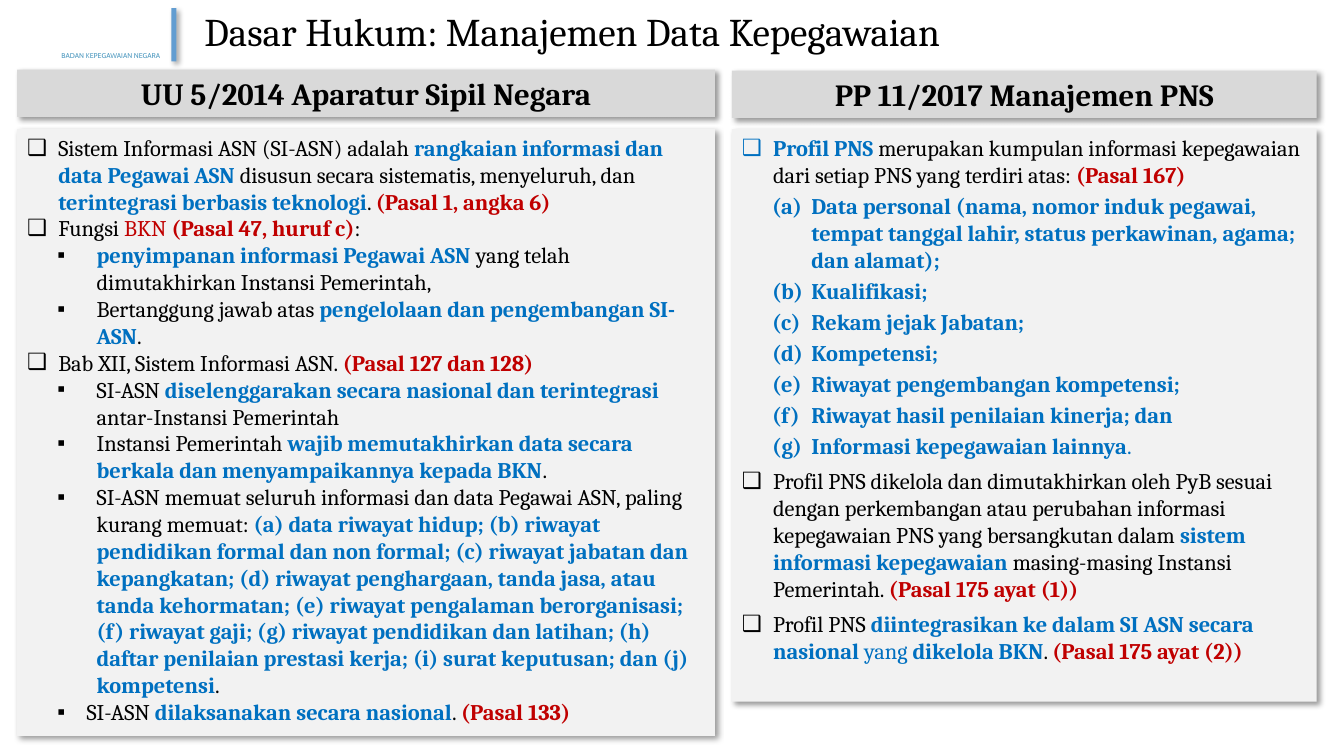
from dataclasses import dataclass
from lxml import etree
from pptx import Presentation
from pptx import util as u
from pptx.dml.color import RGBColor
from pptx.enum import shapes, text
from pptx.oxml.ns import qn

AGENCY = "BADAN KEPEGAWAIAN NEGARA"
TITLE = "Dasar Hukum: Manajemen Data Kepegawaian"

COLUMNS = [
    dict(heading="UU 5/2014 Aparatur Sipil Negara", width=6.92, top=0.69, height=6.02, gaps=(0, 0), items=[
        ("box", [("plain", "Sistem Informasi ASN (SI-ASN) adalah "),
                 ("key", "rangkaian informasi dan data Pegawai ASN "),
                 ("plain", "disusun secara sistematis, menyeluruh, dan "),
                 ("key", "terintegrasi berbasis teknologi"), ("plain", ". "),
                 ("cite", "(Pasal 1, angka 6)")]),
        ("box", [("plain", "Fungsi "), ("red", "BKN "), ("cite", "(Pasal 47, huruf c)"), ("plain", ":")]),
        ("square", [("key", "penyimpanan informasi Pegawai ASN "),
                    ("plain", "yang telah dimutakhirkan Instansi Pemerintah,")]),
        ("square", [("plain", "Bertanggung jawab atas "),
                    ("key", "pengelolaan dan pengembangan SI-ASN"), ("plain", ".")]),
        ("box", [("plain", "Bab XII, Sistem Informasi ASN. "), ("cite", "(Pasal 127 dan 128)")]),
        ("square", [("plain", "SI-ASN "), ("key", "diselenggarakan secara nasional dan terintegrasi "),
                    ("plain", "antar-Instansi Pemerintah")]),
        ("square", [("plain", "Instansi Pemerintah "),
                    ("key", "wajib memutakhirkan data secara berkala dan menyampaikannya kepada BKN"),
                    ("plain", ".")]),
        ("square", [("plain", "SI-ASN memuat seluruh informasi dan data Pegawai ASN, paling kurang memuat: "),
                    ("key", "(a) data riwayat hidup; (b) riwayat pendidikan formal dan non formal; "
                            "(c) riwayat jabatan dan kepangkatan; (d) riwayat penghargaan, tanda jasa, "
                            "atau tanda kehormatan; (e) riwayat pengalaman berorganisasi; (f) riwayat gaji; "
                            "(g) riwayat pendidikan dan latihan; (h) daftar penilaian prestasi kerja; "
                            "(i) surat keputusan; dan (j) kompetensi"),
                    ("plain", ".")]),
        ("last", [("plain", "SI-ASN "), ("key", "dilaksanakan secara nasional"), ("plain", ". "),
                  ("cite", "(Pasal 133)")]),
    ]),
    dict(heading="PP 11/2017 Manajemen PNS", width=5.8, top=0.7, height=5.68, gaps=(6, 3), items=[
        ("box", [("key", "Profil PNS "),
                 ("plain", "merupakan kumpulan informasi kepegawaian dari setiap PNS yang terdiri atas: "),
                 ("cite", "(Pasal 167)")]),
        ("letter", [("key", "Data personal (nama, nomor induk pegawai, tempat tanggal lahir, "
                            "status perkawinan, agama; dan alamat);")]),
        ("letter", [("key", "Kualifikasi;")]),
        ("letter", [("key", "Rekam jejak Jabatan;")]),
        ("letter", [("key", "Kompetensi;")]),
        ("letter", [("key", "Riwayat pengembangan kompetensi;")]),
        ("letter", [("key", "Riwayat hasil penilaian kinerja; dan")]),
        ("letter", [("key", "Informasi kepegawaian lainnya"), ("blue", ".")]),
        ("box", [("plain", "Profil PNS dikelola dan dimutakhirkan oleh PyB sesuai dengan perkembangan atau "
                           "perubahan informasi kepegawaian PNS yang bersangkutan dalam "),
                 ("key", "sistem informasi kepegawaian"),
                 ("plain", " masing-masing Instansi Pemerintah. "), ("cite", "(Pasal 175 ayat (1))")]),
        ("box", [("plain", "Profil PNS "), ("key", "diintegrasikan ke dalam SI ASN secara nasional "),
                 ("blue", "yang "), ("key", "dikelola BKN"), ("plain", ". "),
                 ("cite", "(Pasal 175 ayat (2))")]),
    ]),
]


@dataclass(frozen=True)
class Theme:
    font: str = "Cambria"
    small_font: str = "Cabin"
    title: int = 28
    heading: int = 22
    body: int = 16
    small: int = 5
    black: str = "000000"
    blue: str = "0070C0"
    red: str = "C00000"
    agency: str = "4C98BF"
    bar: str = "629DD1"
    head_fill: str = "D9D9D9"
    body_fill: str = "F2F2F2"


T = Theme()
STYLES = {"plain": (T.black, False), "key": (T.blue, True), "blue": (T.blue, False),
          "cite": (T.red, True), "red": (T.red, False)}
BULLETS = {"box": (0.31, 0.31, "❑"), "square": (0.69, 0.39, "▪"),
           "last": (0.59, 0.29, "▪"), "letter": (0.69, 0.39, None)}
MARGIN = GAP = 0.17
HEAD_H, BODY_TOP = 0.47, 1.28


def add(parent, tag, **attrs):
    return etree.SubElement(parent, qn(tag), {k: str(v) for k, v in attrs.items()})


def add_run(p, words, size, color, bold=False, font=T.font):
    r = p.add_run()
    r.text = words
    r.font.name, r.font.size, r.font.bold = font, u.Pt(size), bold
    r.font.color.rgb = RGBColor.from_string(color)


def add_panel(slide, left, top, width, height, fill):
    sp = slide.shapes.add_shape(shapes.MSO_SHAPE.RECTANGLE, *map(u.Inches, (left, top, width, height)))
    sp.fill.solid()
    sp.fill.fore_color.rgb = RGBColor.from_string(fill)
    sp.line.fill.background()
    sp.shadow.inherit = False
    effects = sp.element.spPr.find(qn("a:effectLst"))
    shadow = add(effects, "a:outerShdw", blurRad=u.Pt(4), dist=u.Pt(3), dir=45 * 60000,
                 algn="tl", rotWithShape=0)
    add(add(shadow, "a:srgbClr", val=T.black), "a:alpha", val=40000)
    sp.text_frame.word_wrap = True
    return sp


def add_label(slide, left, top, width, height, wrap):
    tf = slide.shapes.add_textbox(*map(u.Inches, (left, top, width, height))).text_frame
    tf.word_wrap = wrap
    return tf


def set_bullet(p, kind):
    left, hang, char = BULLETS[kind]
    pPr = p._p.get_or_add_pPr()
    pPr.set("marL", str(u.Inches(left)))
    pPr.set("indent", str(-u.Inches(hang)))
    if char == "▪":
        add(add(pPr, "a:buClr"), "a:srgbClr", val=T.black)
    if char:
        add(pPr, "a:buFont", typeface="Arial")
        add(pPr, "a:buChar", char=char)
    else:
        add(pPr, "a:buFont", typeface="+mj-lt")
        add(pPr, "a:buAutoNum", type="alphaLcParenBoth")


def fill_list(tf, items, gaps):
    tf.vertical_anchor = text.MSO_ANCHOR.TOP
    for i, (kind, runs) in enumerate(items):
        p = tf.add_paragraph() if i else tf.paragraphs[0]
        p.alignment = text.PP_ALIGN.LEFT
        p.level = 0 if kind in ("box", "last") else 1
        p.space_before = u.Pt(gaps[p.level])
        set_bullet(p, kind)
        for style, words in runs:
            color, bold = STYLES[style]
            add_run(p, words, T.body, color, bold)


def main():
    prs = Presentation()
    prs.slide_width, prs.slide_height = u.Inches(13.33), u.Inches(7.5)
    slide = prs.slides.add_slide(prs.slide_layouts[6])

    tf = add_label(slide, 0.51, 0.46, 1.22, 0.19, False)
    add_run(tf.paragraphs[0], AGENCY, T.small, T.agency, font=T.small_font)
    add_panel(slide, 1.7, 0.08, 0.05, 0.53, T.bar)

    left = MARGIN
    for col in COLUMNS:
        body = add_panel(slide, left, BODY_TOP, col["width"], col["height"], T.body_fill)
        fill_list(body.text_frame, col["items"], col["gaps"])
        head = add_panel(slide, left, col["top"], col["width"], HEAD_H, T.head_fill)
        p = head.text_frame.paragraphs[0]
        p.alignment = text.PP_ALIGN.CENTER
        add_run(p, col["heading"], T.heading, T.black, True)
        left += col["width"] + GAP

    tf = add_label(slide, 1.93, 0.06, 11.03, 0.56, True)
    tf.vertical_anchor = text.MSO_ANCHOR.MIDDLE
    p = tf.paragraphs[0]
    p.line_spacing = 0.9
    add_run(p, TITLE, T.title, T.black)

    prs.save("out.pptx")


if __name__ == "__main__":
    main()
